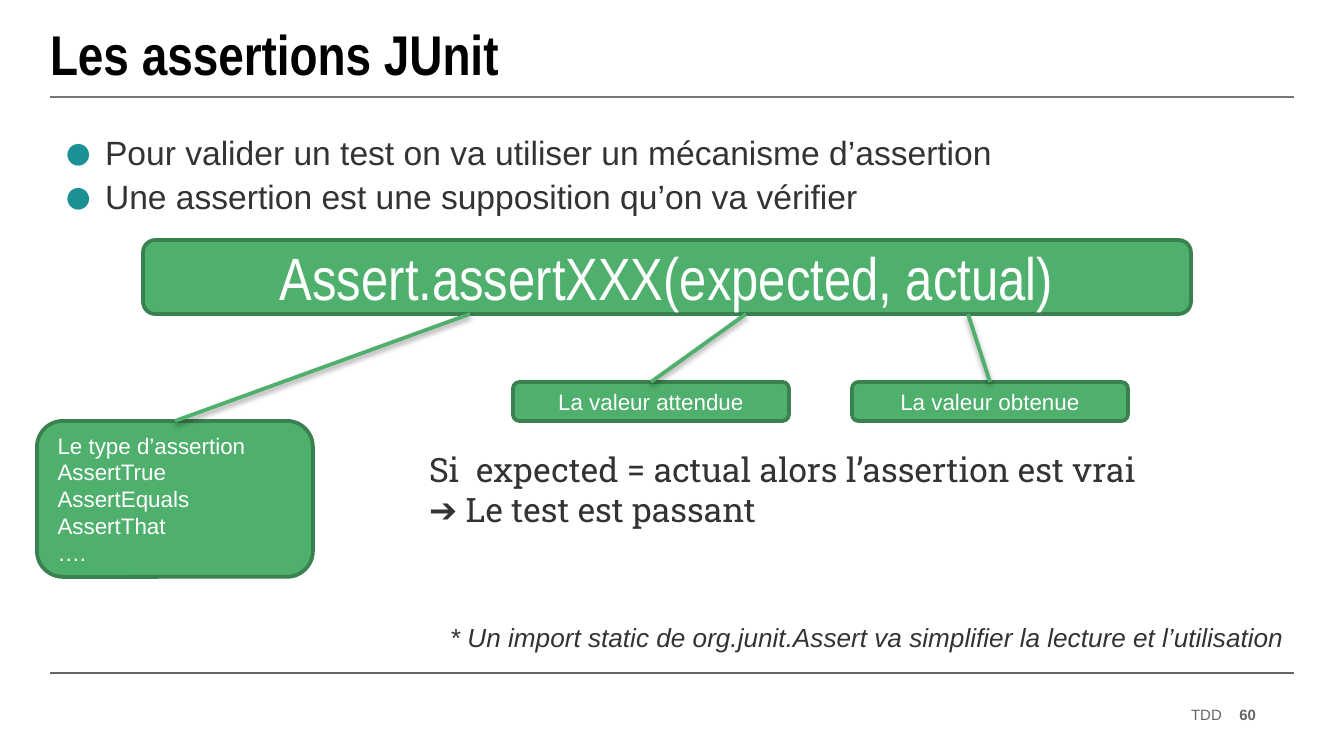
import pptx
import pptx.util
import pptx.dml.color
import pptx.enum.shapes
import pptx.enum.text
import pptx.oxml
import pptx.oxml.ns

RGB = pptx.dml.color.RGBColor
SHAPE = pptx.enum.shapes.MSO_SHAPE
STRAIGHT = pptx.enum.shapes.MSO_CONNECTOR.STRAIGHT
ANCHOR = pptx.enum.text.MSO_ANCHOR
ALIGN = pptx.enum.text.PP_ALIGN

BLACK = RGB(0x00, 0x00, 0x00)
WHITE = RGB(0xFF, 0xFF, 0xFF)
INK = RGB(0x32, 0x33, 0x34)
GREY = RGB(0x64, 0x65, 0x67)
RULE_GREY = RGB(0x76, 0x76, 0x76)
GREEN = RGB(0x4F, 0xAF, 0x6C)
DARK_GREEN = RGB(0x3A, 0x81, 0x50)
TEAL = RGB(0x1B, 0x91, 0x95)

# Content; boxes are left, top, width, height in px
WIDTH, HEIGHT = 1344, 756
TITLE = "Les assertions JUnit"
BULLETS = [
    "Pour valider un test on va utiliser un mécanisme d’assertion",
    "Une assertion est une supposition qu’on va vérifier",
]
CALL = "Assert.assertXXX(expected, actual)"
CALL_BOX = (143, 240, 1048, 74)
# Label lines, box, alignment, x where its line meets the call
LABELS = [
    (["Le type d’assertion", "AssertTrue", "AssertEquals", "AssertThat", "…."],
     (37, 421, 276, 156), ALIGN.LEFT, 470),
    (["La valeur attendue"], (513, 382, 276, 39), ALIGN.CENTER, 746),
    (["La valeur obtenue"], (852, 382, 276, 39), ALIGN.CENTER, 968),
]
RESULT = ["Si  expected = actual alors l’assertion est vrai", "➔ Le test est passant"]
NOTE = "* Un import static de org.junit.Assert va simplifier la lecture et l’utilisation"
RULES = [(673, GREY), (97, RULE_GREY)]
RULE_LEFT, RULE_RIGHT = 50, 1294
FOOTER = [("TDD", (926, 705, 296, 20), False), ("60", (1230, 705, 26, 20), True)]

SHADOW = (
    '<a:effectLst %s><a:outerShdw blurRad="39370" dist="20320" dir="5400000" '
    'rotWithShape="0"><a:srgbClr val="000000"><a:alpha val="38000"/></a:srgbClr>'
    '</a:outerShdw></a:effectLst>' % pptx.oxml.ns.nsdecls("a")
)
NO_SHADOW = "<a:effectLst %s/>" % pptx.oxml.ns.nsdecls("a")

deck = pptx.Presentation()


def px(length):
    return pptx.util.Emu(round(length * 914400 / 134.4))


deck.slide_width, deck.slide_height = px(WIDTH), px(HEIGHT)
slide = deck.slides.add_slide(deck.slide_layouts[6])


def add_bullet(paragraph):
    properties = paragraph._p.get_or_add_pPr()
    properties.set("marL", str(px(42)))
    properties.set("indent", str(-px(42)))
    for element in (f'<a:buClr %s><a:srgbClr val="{TEAL}"/></a:buClr>',
                    '<a:buSzPct %s val="150000"/>',
                    '<a:buFont %s typeface="Arial"/>',
                    '<a:buChar %s char="●"/>'):
        properties.append(pptx.oxml.parse_xml(element % pptx.oxml.ns.nsdecls("a")))


def write(lines, box, shape=None, size=18, font="Arial", color=INK, bold=False,
          italic=False, align=ALIGN.LEFT, anchor=ANCHOR.TOP, inset=(0, 0),
          wrap=True, bullets=False, gap=0):
    """Write lines into a shape, or into a new text box."""
    holder = shape or slide.shapes.add_textbox(*map(px, box))
    frame = holder.text_frame
    frame.word_wrap = wrap
    frame.vertical_anchor = anchor
    frame.margin_left = frame.margin_right = px(inset[0])
    frame.margin_top = frame.margin_bottom = px(inset[1])
    for index, line in enumerate(lines):
        paragraph = frame.paragraphs[0] if index == 0 else frame.add_paragraph()
        paragraph.alignment = align
        if index and gap:
            paragraph.space_before = pptx.util.Pt(gap)
        if bullets:
            add_bullet(paragraph)
        run = paragraph.add_run()
        run.text = line
        run.font.size = pptx.util.Pt(size)
        run.font.name = font
        run.font.color.rgb = color
        run.font.bold = bold
        run.font.italic = italic


def green_box(lines, box, **text_format):
    shape = slide.shapes.add_shape(SHAPE.ROUNDED_RECTANGLE, *map(px, box))
    shape.shadow.inherit = False
    shape.fill.solid()
    shape.fill.fore_color.rgb = GREEN
    shape.line.color.rgb = DARK_GREEN
    shape.line.width = pptx.util.Pt(2)
    write(lines, box, shape=shape, color=WHITE, anchor=ANCHOR.MIDDLE,
          inset=(13, 13), **text_format)
    return shape


def add_line(start, end, color, width, effect=NO_SHADOW):
    line = slide.shapes.add_connector(STRAIGHT, *map(px, start + end))
    line.line.color.rgb = color
    line.line.width = pptx.util.Pt(width)
    line._element.spPr.append(pptx.oxml.parse_xml(effect))
    return line


# Rules, title and footer
for y, color in RULES:
    add_line((RULE_LEFT, y), (RULE_RIGHT, y), color, 1)
write([TITLE], (50, 12, 1243, 82), size=30, font="Arial Narrow", color=BLACK,
      bold=True, anchor=ANCHOR.MIDDLE)
for text, box, bold in FOOTER:
    write([text], box, size=8, color=GREY, bold=bold, align=ALIGN.RIGHT,
          anchor=ANCHOR.MIDDLE, wrap=False)

# Bullets
write(BULLETS, (50, 125, 1243, 527), inset=(13, 7), bullets=True, gap=2)

# Call and its labels
green_box([CALL], CALL_BOX, size=32, font="Arial Narrow", align=ALIGN.CENTER)
label_shapes = [green_box(lines, box, size=12, align=align)
                for lines, box, align, _ in LABELS]
call_bottom = CALL_BOX[1] + CALL_BOX[3]
for shape, (_, (left, top, width, _), _, target) in zip(label_shapes, LABELS):
    pointer = add_line((left + width // 2, top), (target, call_bottom),
                       GREEN, 2, SHADOW)
    pointer.begin_connect(shape, 0)

# Result and note
write(RESULT, (429, 449, 847, 101), font="Roboto Slab")
write([NOTE], (450, 621, 847, 50), size=14, italic=True)

deck.save("out.pptx")
